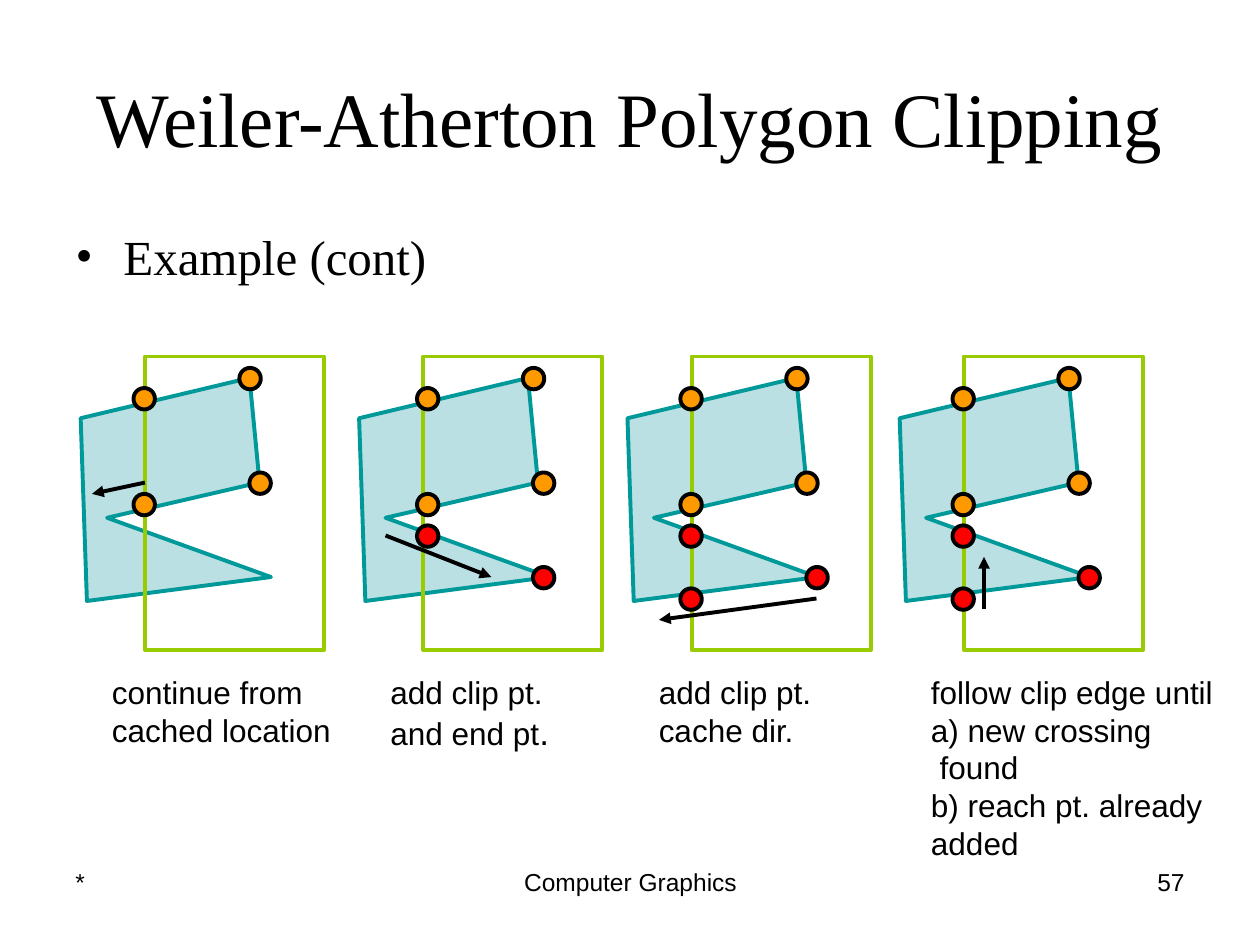
from dataclasses import dataclass

from lxml import etree
from pptx import Presentation
from pptx.dml.color import RGBColor
from pptx.enum.shapes import MSO_CONNECTOR, MSO_SHAPE
from pptx.enum.text import MSO_ANCHOR, MSO_AUTO_SIZE, PP_ALIGN
from pptx.oxml.ns import qn
from pptx.util import Inches, Pt

RECTANGLE, OVAL = MSO_SHAPE.RECTANGLE, MSO_SHAPE.OVAL
STRAIGHT = MSO_CONNECTOR.STRAIGHT
LEFT, CENTER, RIGHT = PP_ALIGN.LEFT, PP_ALIGN.CENTER, PP_ALIGN.RIGHT
MIDDLE, TOP = MSO_ANCHOR.MIDDLE, MSO_ANCHOR.TOP
NO_AUTOFIT = MSO_AUTO_SIZE.NONE

BLACK, TEAL, PALE_TEAL, LIME = "000000", "009999", "BBE0E3", "99CC00"
ORANGE, RED = "FF9900", "FF0000"
SERIF, SANS = "Times New Roman", "Arial"
LINE_WIDTH = Pt(2.25)
DOT_SIZE = 0.17
WINDOW_TOP, WINDOW_WIDTH, WINDOW_HEIGHT = 2.83, 1.42, 2.33
CAPTION_TOP = 5.29

Point = tuple[float, float]

# Horizontal places are measured from the clip window's left edge
POLYGON: list[Point] = [(-0.51, 3.32), (0.83, 3), (0.91, 3.83),
                        (-0.3, 4.11), (1, 4.58), (-0.46, 4.77)]
# Dot places are measured from the panel's first dot column
VISITED: list[Point] = [(0, 3.08), (0.84, 2.92), (0.92, 3.75), (0, 3.92)]


@dataclass
class Panel:
    window_left: float
    dots_left: float
    added: list[Point]
    arrow_start: Point
    arrow_end: Point
    caption: str
    caption_width: float
    large_ending: str = ""


PANELS = [
    Panel(1.15, 1.06, [], (1.15, 3.83), (0.73, 3.92),
          "continue from\ncached location", 2.1),
    Panel(3.36, 3.31, [(0, 4.17), (0.92, 4.5)], (3.06, 4.25), (3.9, 4.58),
          "add clip pt.\nand end pt", 1.61, "."),
    Panel(5.49, 5.4, [(0, 4.17), (1, 4.5), (0, 4.67)], (6.48, 4.75),
          (5.23, 4.92), "add clip pt.\ncache dir.", 1.58),
    Panel(7.65, 7.56, [(0, 4.17), (1, 4.5), (0, 4.67)], (7.81, 4.83),
          (7.81, 4.42), "follow clip edge until\na) new crossing\n found\n"
          "b) reach pt. already\nadded", 2.71),
]


def rgb(color: str) -> RGBColor:
    return RGBColor.from_string(color)


def place(shape, left: float, top: float, width: float, height: float) -> None:
    shape.left, shape.top = Inches(left), Inches(top)
    shape.width, shape.height = Inches(width), Inches(height)


def set_font(font, size: float, name: str) -> None:
    font.size, font.name, font.color.rgb = Pt(size), name, rgb(BLACK)


def set_outline(line, color: str) -> None:
    line.color.rgb, line.width = rgb(color), LINE_WIDTH


def paint(shape, line_color: str, fill_color: str | None = None) -> None:
    shape.shadow.inherit = False
    set_outline(shape.line, line_color)
    if fill_color:
        shape.fill.solid()
        shape.fill.fore_color.rgb = rgb(fill_color)
    else:
        shape.fill.background()


def fill_placeholder(shape, text: str, size: float, align, anchor):
    frame = shape.text_frame
    frame.text = text
    frame.auto_size, frame.vertical_anchor = NO_AUTOFIT, anchor
    paragraph = frame.paragraphs[0]
    paragraph.alignment, paragraph.space_before = align, Pt(0)
    set_font(paragraph.runs[0].font, size, SERIF)
    return paragraph


def add_text(slide, left: float, top: float, width: float, height: float,
             text: str, size: float, align=LEFT):
    box = slide.shapes.add_textbox(Inches(left), Inches(top),
                                   Inches(width), Inches(height))
    frame = box.text_frame
    frame.word_wrap = True
    frame.text = text
    for paragraph in frame.paragraphs:
        paragraph.alignment = align
        set_font(paragraph.runs[0].font, size, SANS)
    return frame


def add_polygon(slide, window_left: float) -> None:
    corners = [(Inches(window_left + x), Inches(y)) for x, y in POLYGON]
    builder = slide.shapes.build_freeform(*corners[0])
    builder.add_line_segments(corners[1:], close=True)
    paint(builder.convert_to_shape(), TEAL, PALE_TEAL)


def add_arrow(slide, start: Point, end: Point) -> None:
    arrow = slide.shapes.add_connector(
        STRAIGHT, *(Inches(value) for value in start + end))
    set_outline(arrow.line, BLACK)
    properties = arrow._element.spPr
    head = etree.SubElement(properties.find(qn("a:ln")), qn("a:tailEnd"))
    head.set("type", "triangle")
    etree.SubElement(properties, qn("a:effectLst"))


def add_dots(slide, left: float, places: list[Point], color: str) -> None:
    for x, y in places:
        dot = slide.shapes.add_shape(OVAL, Inches(left + x), Inches(y),
                                     Inches(DOT_SIZE), Inches(DOT_SIZE))
        paint(dot, BLACK, color)


def add_panel(slide, panel: Panel) -> None:
    add_polygon(slide, panel.window_left)
    window = slide.shapes.add_shape(
        RECTANGLE, Inches(panel.window_left), Inches(WINDOW_TOP),
        Inches(WINDOW_WIDTH), Inches(WINDOW_HEIGHT))
    paint(window, LIME)
    add_arrow(slide, panel.arrow_start, panel.arrow_end)
    line_count = panel.caption.count("\n") + 1
    caption = add_text(slide, panel.window_left - 0.36, CAPTION_TOP,
                       panel.caption_width, 0.1 + 0.3 * line_count,
                       panel.caption, 18)
    if panel.large_ending:
        ending = caption.paragraphs[-1].add_run()
        ending.text = panel.large_ending
        set_font(ending.font, 20, SANS)
    add_dots(slide, panel.dots_left, VISITED, ORANGE)
    add_dots(slide, panel.dots_left, panel.added, RED)


def main() -> None:
    prs = Presentation()
    prs.slide_width, prs.slide_height = Inches(10), Inches(7.5)
    slide = prs.slides.add_slide(prs.slide_layouts[1])

    # Title and bullet
    title, body = slide.placeholders
    place(title, 0.5, 0.3, 9, 1.25)
    fill_placeholder(title, "Weiler-Atherton Polygon Clipping", 44,
                     CENTER, MIDDLE)
    place(body, 0.5, 1.75, 9, 4.95)
    bullet = fill_placeholder(body, "Example (cont)", 28, LEFT, TOP)
    indents = bullet._p.get_or_add_pPr()
    indents.set("marL", str(Inches(0.38)))
    indents.set("indent", str(-Inches(0.38)))
    etree.SubElement(indents, qn("a:buFont")).set("typeface", SERIF)
    etree.SubElement(indents, qn("a:buChar")).set("char", "•")

    # Clipping steps
    for panel in PANELS:
        add_panel(slide, panel)

    # Footer
    add_text(slide, 0.5, 6.83, 2.33, 0.52, "*", 14)
    add_text(slide, 3.42, 6.83, 3.17, 0.52, "Computer Graphics", 14, CENTER)
    add_text(slide, 7.17, 6.83, 2.33, 0.52, "57", 14, RIGHT)

    prs.save("out.pptx")


if __name__ == "__main__":
    main()
